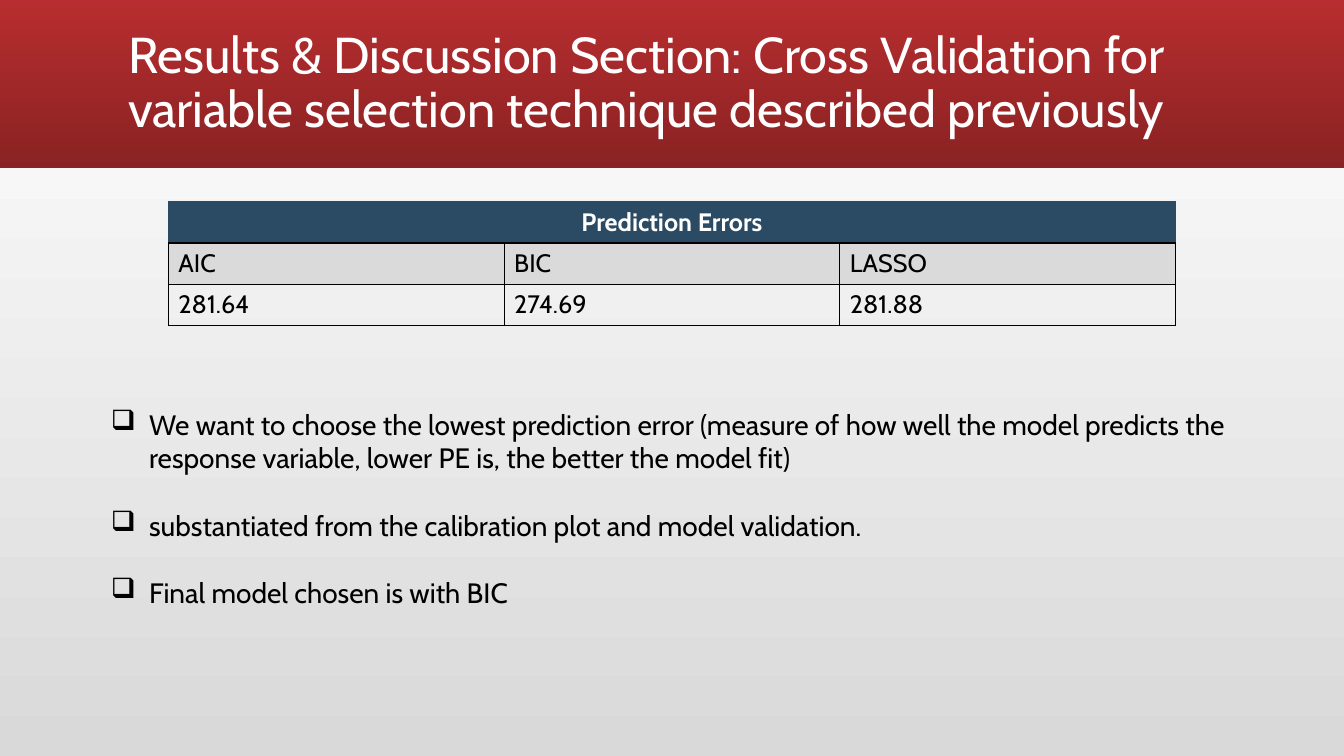
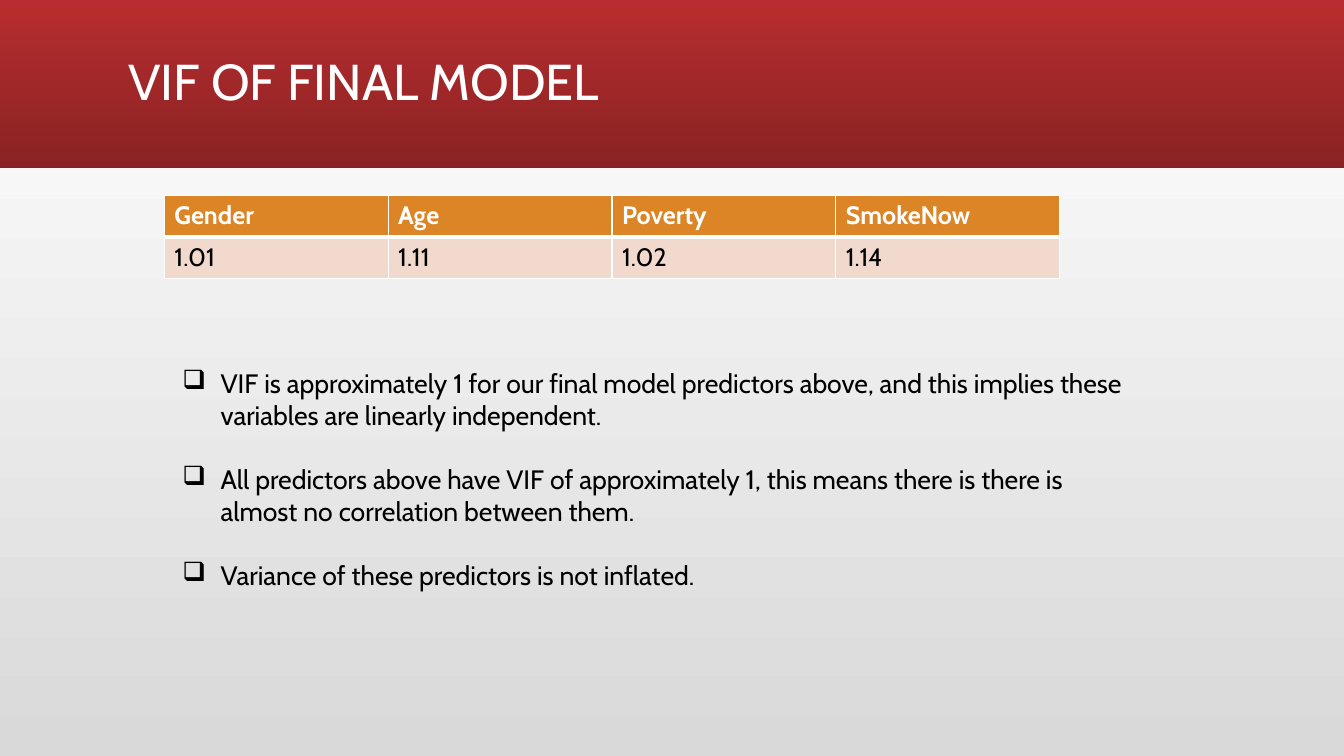
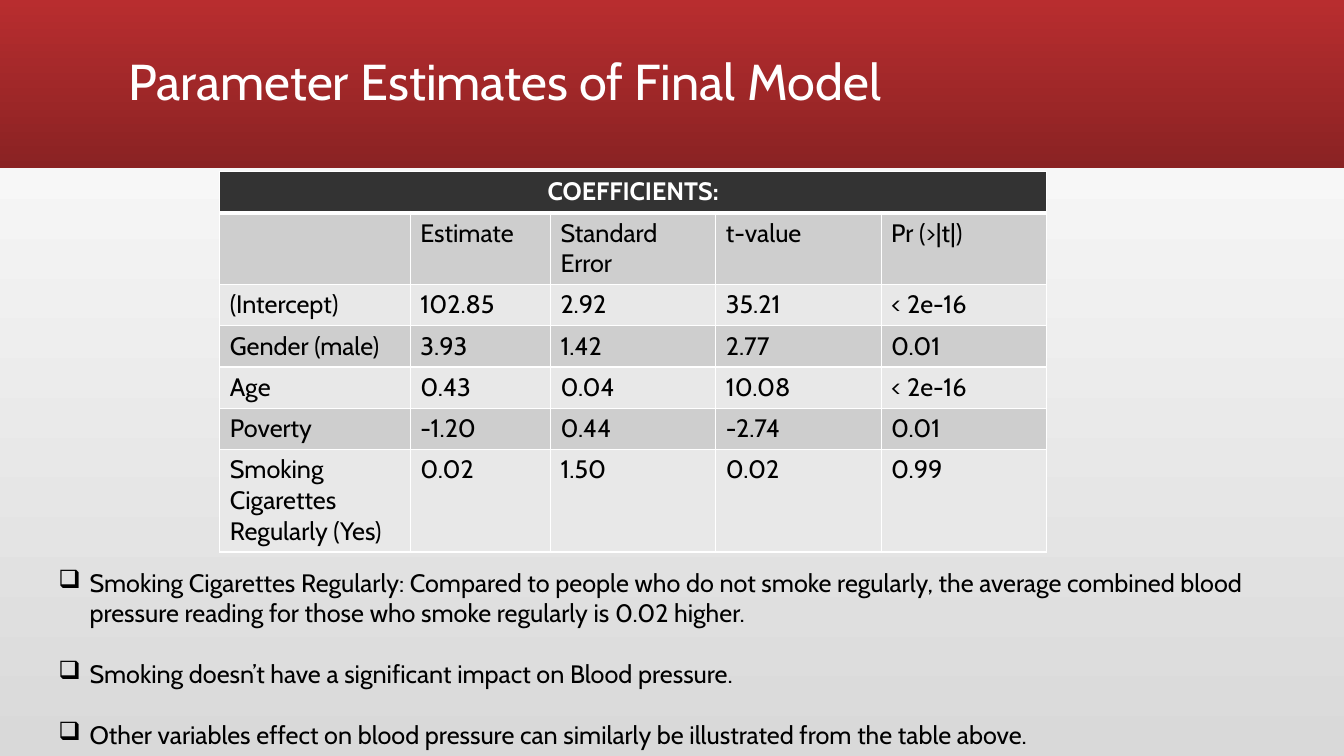
from lxml import etree
from pptx import Presentation
from pptx.dml.color import RGBColor
from pptx.enum.shapes import MSO_SHAPE
from pptx.enum.text import MSO_ANCHOR, MSO_AUTO_SIZE, PP_ALIGN
from pptx.oxml.ns import qn
from pptx.util import Inches, Pt

RECT = MSO_SHAPE.RECTANGLE
MIDDLE = MSO_ANCHOR.MIDDLE
NO_FIT, GROW = MSO_AUTO_SIZE.NONE, MSO_AUTO_SIZE.SHAPE_TO_FIT_TEXT
LEFT, CENTER = PP_ALIGN.LEFT, PP_ALIGN.CENTER

FONT = "Cabin"
WHITE, BLACK = "FFFFFF", "000000"
RED, WINE = "B82D2F", "8A2223"
SILVER, NAVY, ORANGE, COAL = "D9D9D9", "2B4A63", "DB8526", "333333"
WIDTH, HEIGHT, BAND = 13.33, 7.5, 1.67
LINE = 0.41  # height of a table row with one line of text


def rgb(value):
    return RGBColor.from_string(value)


def place(shape, box):
    shape.left, shape.top, shape.width, shape.height = map(Inches, box)


def style(para, size, color, bold=False, align=LEFT):
    para.alignment = align
    font = para.font
    font.name, font.size, font.bold = FONT, Pt(size), bold
    font.color.rgb = rgb(color)


def blend(fill, colors, angle):
    fill.gradient()
    fill.gradient_angle = angle
    for stop, color in zip(fill.gradient_stops, colors):
        stop.color.rgb = rgb(color)


def set_theme(prs, layout, slide):
    """Give the master its background and the layout its band and title box."""
    blend(prs.slide_master.background.fill, (SILVER, WHITE), 90)
    band = slide.shapes.add_shape(RECT, 0, 0, Inches(WIDTH), Inches(BAND))
    band.shadow.inherit = False
    band.line.fill.background()
    blend(band.fill, (RED, WINE), 270)
    layout.shapes.element.insert(2, band.element)  # behind the placeholders
    place(layout.placeholders[0], (1.17, 0.11, 11, 1.45))


def add_title(slide, text):
    frame = slide.shapes.title.text_frame
    frame.text = text
    frame.word_wrap = True
    frame.auto_size = NO_FIT
    frame.vertical_anchor = MIDDLE
    para = frame.paragraphs[0]
    para.line_spacing = 0.9
    style(para, 36, WHITE)


def set_edges(cell, edges):
    """Draw cell borders from (color, points) pairs: left, right, top, bottom."""
    props = cell._tc.get_or_add_tcPr()
    for i, (side, (color, points)) in enumerate(zip("LRTB", edges)):
        line = etree.Element(qn(f"a:ln{side}"), w=str(Pt(points)))
        solid = etree.SubElement(line, qn("a:solidFill"))
        etree.SubElement(solid, qn("a:srgbClr"), val=color)
        props.insert(i, line)


def add_grid(slide, spot, cols, rows, data, head, bands, edge, rule, grid):
    """Add a table; a single text in the first row spans all columns.

    edge, rule and grid are the borders around the header, below it and
    in the body; bands are the body fills, used in turn.
    """
    box = (*spot, sum(cols), sum(rows))
    frame = slide.shapes.add_table(len(rows), len(cols), *map(Inches, box))
    table = frame.table
    table.horz_banding = False
    for col, width in zip(table.columns, cols):
        col.width = Inches(width)
    for row, height in zip(table.rows, rows):
        row.height = Inches(height)
    span = len(data[0]) == 1
    if span:
        table.cell(0, 0).merge(table.cell(0, len(cols) - 1))
    for r, texts in enumerate(data):
        top = r == 0
        fill = head if top else bands[(r - 1) % len(bands)]
        for c in range(len(cols)):
            cell = table.cell(r, c)
            if fill:
                cell.fill.solid()
                cell.fill.fore_color.rgb = rgb(fill)
            else:
                cell.fill.background()
            if top:
                set_edges(cell, (edge, edge, edge, rule))
            else:
                set_edges(cell, (grid, grid, rule if r == 1 else grid, grid))
            if c < len(texts):
                cell.text = texts[c]
                style(cell.text_frame.paragraphs[0], 18,
                      WHITE if top else BLACK, top,
                      CENTER if top and span else LEFT)


def add_points(slide, box, size, indent, points):
    """Add a list with box bullets and one line of space between points."""
    shape = slide.shapes.add_textbox(*map(Inches, box))
    frame = shape.text_frame
    frame.word_wrap = True
    frame.auto_size = GROW
    frame.text = "\n".join(points)
    for i, para in enumerate(frame.paragraphs):
        style(para, size, BLACK)
        if i:
            para.space_before = Pt(round(size * 1.21))
        props = para._p.get_or_add_pPr()
        props.set("marL", str(Inches(indent)))
        props.set("indent", str(Inches(-indent)))
        bullet = etree.Element(qn("a:buChar"), char="❑")
        props.find(qn("a:defRPr")).addprevious(bullet)


def fill_errors(slide):
    add_title(slide, "Results & Discussion Section: Cross Validation for "
                     "variable selection technique described previously")
    add_grid(slide, (1.67, 2), [3.33] * 3, [LINE] * 3,
             [["Prediction Errors"],
              ["AIC", "BIC", "LASSO"],
              ["281.64", "274.69", "281.88"]],
             NAVY, ["DADADA", None], (NAVY, 0.5), (BLACK, 1), (BLACK, 1))
    add_points(slide, (1, 3.99, 11.89, 2.12), 20, 0.38, [
        "We want to choose the lowest prediction error (measure of how well "
        "the model predicts the response variable, lower PE is, the better "
        "the model fit)",
        "substantiated from the calibration plot and model validation.",
        "Final model chosen is with BIC"])


def fill_vif(slide):
    add_title(slide, "VIF OF FINAL MODEL")
    add_grid(slide, (1.63, 1.94), [2.22] * 4, [LINE] * 2,
             [["Gender", "Age", "Poverty", "SmokeNow"],
              ["1.01", "1.11", "1.02", "1.14"]],
             ORANGE, ["F1D9CD"], (WHITE, 1), (WHITE, 3), (WHITE, 1))
    add_points(slide, (1.71, 3.59, 9.61, 2.34), 19, 0.38, [
        "VIF is approximately 1 for our final model predictors above, and "
        "this implies these variables are linearly independent.",
        "All predictors above have VIF of approximately 1, this means there "
        "is there is almost no correlation between them.",
        "Variance of these predictors is not inflated."])


def fill_params(slide):
    add_title(slide, "Parameter Estimates of Final Model")
    add_grid(slide, (2.18, 1.7), [1.89, 1.39, 1.64, 1.64, 1.64],
             [LINE, 0.71] + [LINE] * 4 + [1.01],
             [["COEFFICIENTS:"],
              ["", "Estimate", "Standard Error", "t-value", "Pr (>|t|)"],
              ["(Intercept)", "102.85", "2.92", "35.21", "< 2e-16"],
              ["Gender (male)", "3.93", "1.42", "2.77", "0.01"],
              ["Age", "0.43", "0.04", "10.08", "< 2e-16"],
              ["Poverty", "-1.20", "0.44", "-2.74", "0.01"],
              ["Smoking Cigarettes Regularly (Yes)",
               "0.02", "1.50", "0.02", "0.99"]],
             COAL, ["CECECE", "E8E8E8"], (WHITE, 1), (WHITE, 3), (WHITE, 1))
    add_points(slide, (0.48, 5.58, 12.36, 1.92), 18, 0.31, [
        "Smoking Cigarettes Regularly: Compared to people who do not smoke "
        "regularly, the average combined blood pressure reading for those "
        "who smoke regularly is 0.02 higher.",
        "Smoking doesn’t have a significant impact on Blood pressure.",
        "Other variables effect on blood pressure can similarly be "
        "illustrated from the table above."])


def main():
    prs = Presentation()
    prs.slide_width, prs.slide_height = Inches(WIDTH), Inches(HEIGHT)
    layout = prs.slide_layouts.get_by_name("Title Only")
    fills = (fill_errors, fill_vif, fill_params)
    slides = [prs.slides.add_slide(layout) for _ in fills]
    set_theme(prs, layout, slides[0])
    for fill, slide in zip(fills, slides):
        fill(slide)
    prs.save("out.pptx")


if __name__ == "__main__":
    main()
